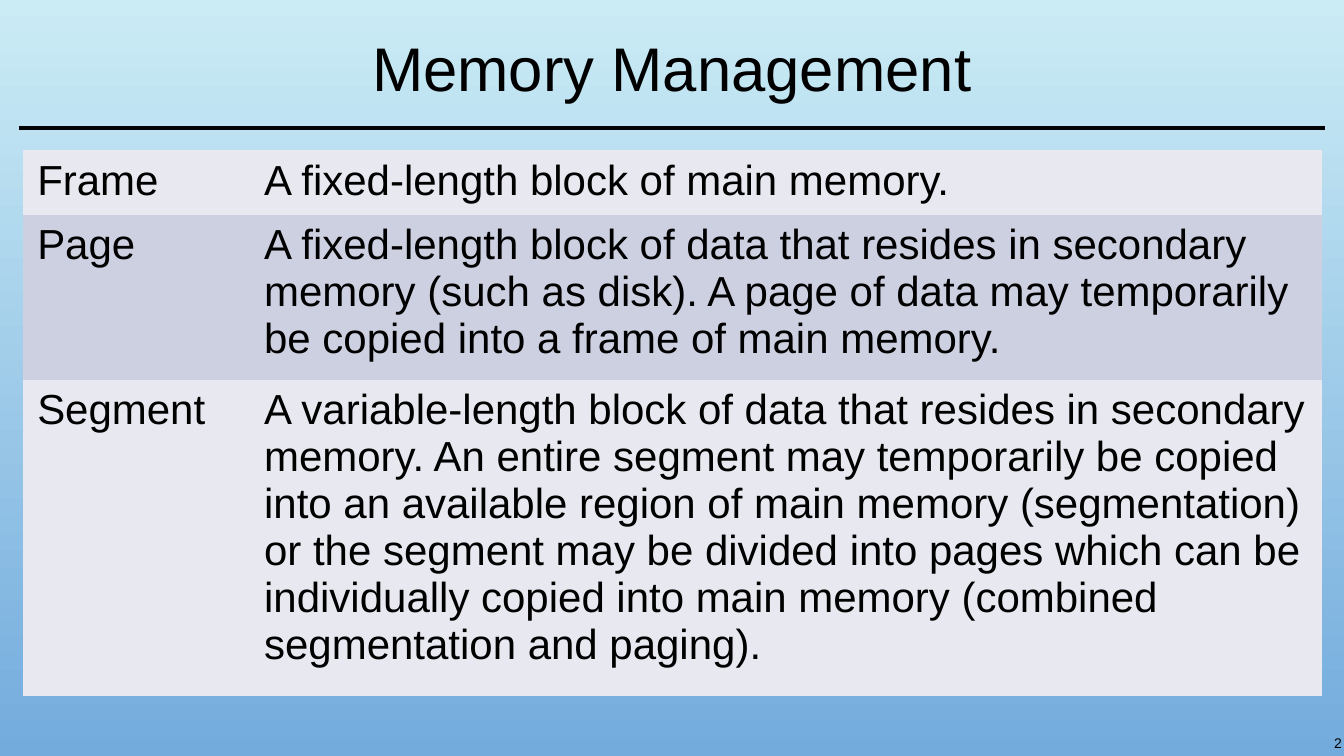
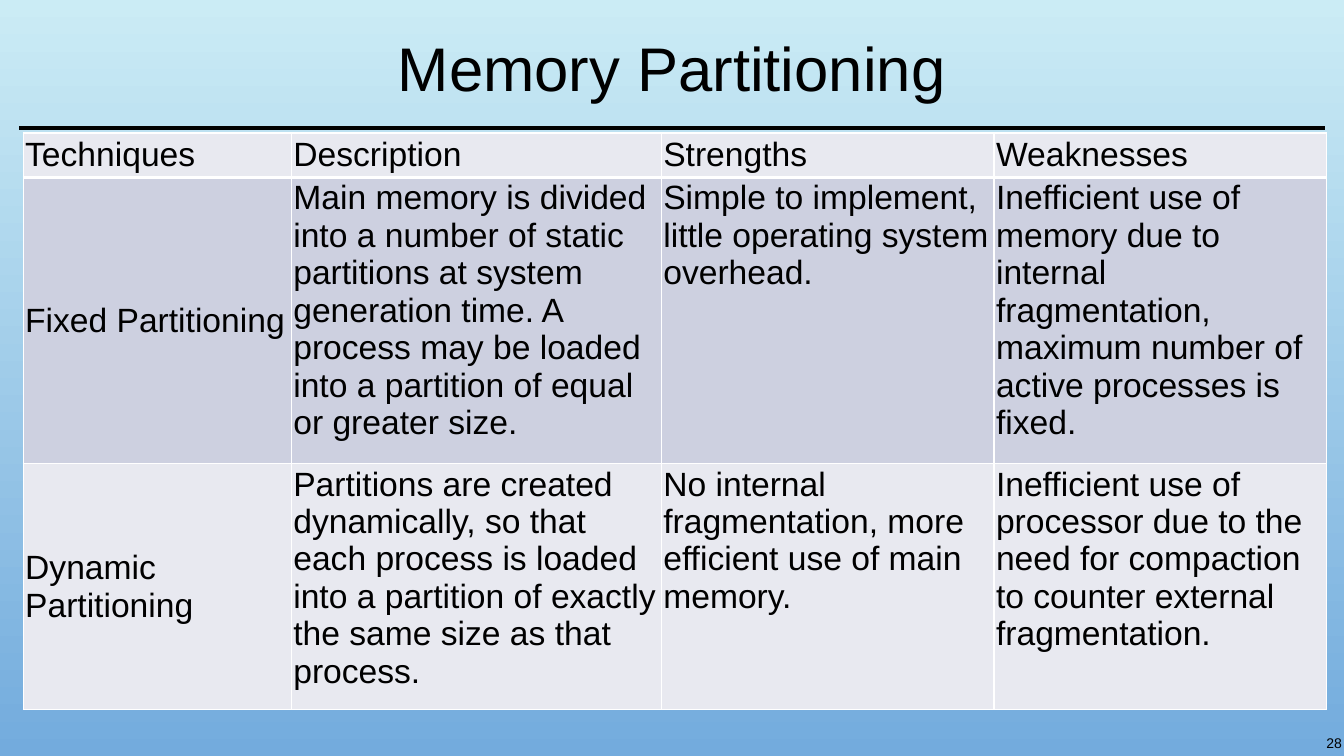
from lxml import etree
from pptx import Presentation
from pptx.dml import color
from pptx.enum import shapes, text
from pptx.oxml import ns
from pptx.util import Inches, Pt

# Shared look
FONT = "Arial"
BLACK, WHITE = "000000", "FFFFFF"
SKY_TOP, SKY_BOTTOM = "CBECF5", "73ABDD"
BANDS = ("E8E9F0", "CDD0E0")
PLAIN_TABLE = "{2D5ABB26-0587-4C30-8999-92F81FD0307C}"
MIDDLE, TOP = text.MSO_ANCHOR.MIDDLE, text.MSO_ANCHOR.TOP
LEFT, RIGHT = text.PP_ALIGN.LEFT, text.PP_ALIGN.RIGHT
CENTER, JUSTIFY = text.PP_ALIGN.CENTER, text.PP_ALIGN.JUSTIFY

# Content
SLIDES = [
    {
        "title": "Memory Management",
        "number": "2",
        "at": (0.23, 1.49),
        "columns": (2.25, 10.63),
        "heights": (0.6, 1.55, 2.92),
        "size": 30,
        "margins": (0.14, 0.07),
        "ruled": False,
        "rows": [
            ("Frame", "A fixed-length block of main memory."),
            ("Page",
             "A fixed-length block of data that resides in secondary memory (such as disk). "
             "A page of data may temporarily be copied into a frame of main memory."),
            ("Segment",
             "A variable-length block of data that resides in secondary memory. An entire "
             "segment may temporarily be copied into an available region of main memory "
             "(segmentation) or the segment may be divided into pages which can be "
             "individually copied into main memory (combined segmentation and paging)."),
        ],
    },
    {
        "title": "Memory Partitioning",
        "number": "28",
        "at": (0.23, 1.32),
        "columns": (2.66, 3.67, 3.3, 3.3),
        "heights": (0.41, 2.63, 2.27),
        "size": 24,
        "margins": (0.02, 0.02),
        "ruled": True,
        "rows": [
            ("Techniques", "Description", "Strengths", "Weaknesses"),
            ("Fixed Partitioning",
             "Main memory is divided into a number of static partitions at system generation "
             "time. A process may be loaded into a partition of equal or greater size.",
             "Simple to implement, little operating system overhead.",
             "Inefficient use of memory due to internal fragmentation, maximum number of "
             "active processes is fixed."),
            ("Dynamic Partitioning",
             "Partitions are created dynamically, so that each process is loaded into a "
             "partition of exactly the same size as that process.",
             "No internal fragmentation, more efficient use of main memory.",
             "Inefficient use of processor due to the need for compaction to counter "
             "external fragmentation."),
        ],
    },
]


def rgb(value):
    return color.RGBColor.from_string(value)


def write(frame, words, size, align):
    para = frame.paragraphs[0]
    para.alignment = align
    span = para.add_run()
    span.text = words
    span.font.name, span.font.size = FONT, Pt(size)
    span.font.color.rgb = rgb(BLACK)
    return para


def set_margins(target, across, down):
    target.margin_left = target.margin_right = Inches(across)
    target.margin_top = target.margin_bottom = Inches(down)


def set_background(master):
    fill = master.background.fill
    fill.gradient()
    fill.gradient_angle = 270
    for stop, shade in zip(fill.gradient_stops, (SKY_TOP, SKY_BOTTOM)):
        stop.color.rgb = rgb(shade)


def add_frame(page, title, number):
    # Rule under the title
    rule = page.shapes.add_connector(shapes.MSO_CONNECTOR.STRAIGHT, Inches(0.19),
                                     Inches(1.27), Inches(13.14), Inches(1.27))
    rule.line.color.rgb, rule.line.width = rgb(BLACK), Pt(2.25)
    etree.SubElement(rule._element.spPr, ns.qn("a:effectLst"))

    # Title
    box = page.shapes.title
    box.left, box.top, box.width, box.height = map(Inches, (0.19, 0.17, 12.95, 1.07))
    box.text_frame.vertical_anchor = MIDDLE
    set_margins(box.text_frame, 0.05, 0.05)
    write(box.text_frame, title, 44, CENTER).line_spacing = 0.9

    # Slide number
    box = page.shapes.add_textbox(*map(Inches, (12.73, 7.26, 0.6, 0.23)))
    box.text_frame.word_wrap = True
    box.text_frame.vertical_anchor = MIDDLE
    set_margins(box.text_frame, 0.02, 0.02)
    write(box.text_frame, number, 10, RIGHT)


def add_borders(cell, top, bottom):
    properties = cell._tc.get_or_add_tcPr()
    for side, points in (("L", 1), ("R", 1), ("T", top), ("B", bottom)):
        line = etree.SubElement(properties, ns.qn(f"a:ln{side}"), w=str(Pt(points)))
        fill = etree.SubElement(line, ns.qn("a:solidFill"))
        etree.SubElement(fill, ns.qn("a:srgbClr"), val=WHITE)


def add_grid(page, item):
    rows, columns, heights = item["rows"], item["columns"], item["heights"]
    holder = page.shapes.add_table(
        len(rows), len(columns), *map(Inches, item["at"]),
        Inches(sum(columns)), Inches(sum(heights)))
    table = holder.table
    table._tbl.tblPr.find(ns.qn("a:tableStyleId")).text = PLAIN_TABLE
    table.first_row = table.horz_banding = False
    for column, width in zip(table.columns, columns):
        column.width = Inches(width)
    for row, height in zip(table.rows, heights):
        row.height = Inches(height)

    for r, row in enumerate(rows):
        for c, words in enumerate(row):
            cell = table.cell(r, c)
            heading = item["ruled"] and (r == 0 or c == 0)
            if item["ruled"]:
                add_borders(cell, 3 if r == 1 else 1, 3 if r == 0 else 1)
            cell.fill.solid()
            cell.fill.fore_color.rgb = rgb(BANDS[r % 2])
            cell.vertical_anchor = MIDDLE if heading else TOP
            set_margins(cell, *item["margins"])
            write(cell.text_frame, words, item["size"], JUSTIFY if heading else LEFT)


def main():
    deck = Presentation()
    deck.slide_width, deck.slide_height = Inches(13.33), Inches(7.5)
    set_background(deck.slide_master)
    for item in SLIDES:
        page = deck.slides.add_slide(deck.slide_layouts[5])
        add_frame(page, item["title"], item["number"])
        add_grid(page, item)
    deck.save("out.pptx")


if __name__ == "__main__":
    main()
